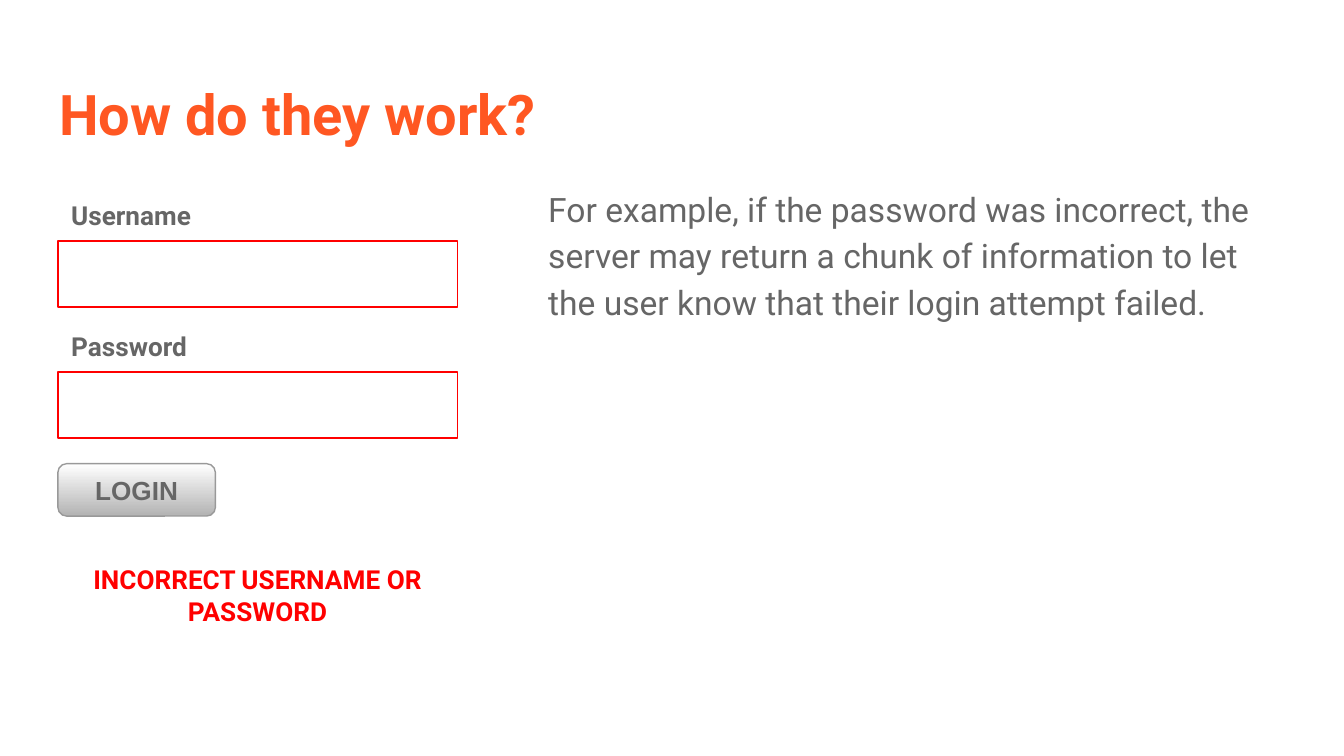
import pptx
import pptx.util
import pptx.dml.color
import pptx.enum.shapes
import pptx.enum.text

Pt = pptx.util.Pt
RGBColor = pptx.dml.color.RGBColor
MSO_SHAPE = pptx.enum.shapes.MSO_SHAPE
MSO_ANCHOR = pptx.enum.text.MSO_ANCHOR
PP_ALIGN = pptx.enum.text.PP_ALIGN

ORANGE = RGBColor(0xFF, 0x57, 0x22)
GREY = RGBColor(0x66, 0x66, 0x66)
MID_GREY = RGBColor(0x99, 0x99, 0x99)
LIGHT_GREY = RGBColor(0xB3, 0xB3, 0xB3)
RED = RGBColor(0xFF, 0x00, 0x00)
WHITE = RGBColor(0xFF, 0xFF, 0xFF)

INSET = 7.2
LABEL_H = 28.1
FIELD_H = 35.5
FIELD_PITCH = 70.2


def set_text(sp, text, size, color, bold=True, font="Roboto",
             align=PP_ALIGN.LEFT, anchor=MSO_ANCHOR.MIDDLE):
    tf = sp.text_frame
    tf.word_wrap = True
    tf.auto_size = pptx.enum.text.MSO_AUTO_SIZE.NONE
    tf.vertical_anchor = anchor
    tf.margin_left = tf.margin_right = Pt(INSET)
    tf.margin_top = tf.margin_bottom = Pt(INSET)
    p = tf.paragraphs[0]
    p.text = text
    p.alignment = align
    p.font.name = font
    p.font.size = Pt(size)
    p.font.bold = bold
    p.font.color.rgb = color
    return p


def add_text(s, x, y, w, h, text, size, color, **style):
    sp = s.shapes.add_textbox(Pt(x), Pt(y), Pt(w), Pt(h))
    return set_text(sp, text, size, color, **style)


def add_box(s, kind, x, y, w, h, line):
    sp = s.shapes.add_shape(kind, Pt(x), Pt(y), Pt(w), Pt(h))
    sp.shadow.inherit = False
    sp.line.color.rgb = line
    sp.line.width = Pt(0.75)
    return sp


def add_title(s, x, y, w, h, text):
    sp = s.shapes.title
    sp.left, sp.top, sp.width, sp.height = Pt(x), Pt(y), Pt(w), Pt(h)
    set_text(sp, text, 30, ORANGE, anchor=MSO_ANCHOR.TOP)


def add_explanation(s, x, y, w, h, text):
    p = add_text(s, x, y, w, h, text, 18, GREY, bold=False,
                 anchor=MSO_ANCHOR.TOP)
    p.line_spacing = 1.15
    p.space_after = Pt(16)


def add_field(s, x, y, w, label):
    add_text(s, x, y, 111.6, LABEL_H, label, 14, GREY)
    sp = add_box(s, MSO_SHAPE.RECTANGLE, x, y + LABEL_H, w, FIELD_H, RED)
    sp.fill.solid()
    sp.fill.fore_color.rgb = WHITE


def add_button(s, x, y, w, h, text):
    sp = add_box(s, MSO_SHAPE.ROUNDED_RECTANGLE, x, y, w, h, MID_GREY)
    sp.adjustments[0] = 0.167
    sp.fill.gradient()
    sp.fill.gradient_angle = 270
    for stop, color in zip(sp.fill.gradient_stops, (WHITE, LIGHT_GREY)):
        stop.color.rgb = color
    set_text(sp, text, 14, GREY, font="Arial", align=PP_ALIGN.CENTER)


def add_login_form(s, x, y, w):
    for i, label in enumerate(("Username", "Password")):
        add_field(s, x, y + i * FIELD_PITCH, w, label)
    add_button(s, x, y + 147.4, 84.4, LABEL_H, "LOGIN")
    add_text(s, x, y + 203.7, w, LABEL_H, "INCORRECT USERNAME OR PASSWORD",
             14, RED, align=PP_ALIGN.CENTER)


def main():
    prs = pptx.Presentation()
    prs.slide_width = Pt(720)
    prs.slide_height = Pt(405)
    s = prs.slides.add_slide(prs.slide_layouts[5])
    add_explanation(
        s, 286.6, 90.7, 409, 285,
        "For example, if the password was incorrect, the server may return "
        "a chunk of information to let the user know that their login "
        "attempt failed.")
    add_title(s, 24.5, 35.3, 671, 45.4, "How do they work?")
    add_login_form(s, 31, 101, 214)
    prs.save("out.pptx")


if __name__ == "__main__":
    main()
